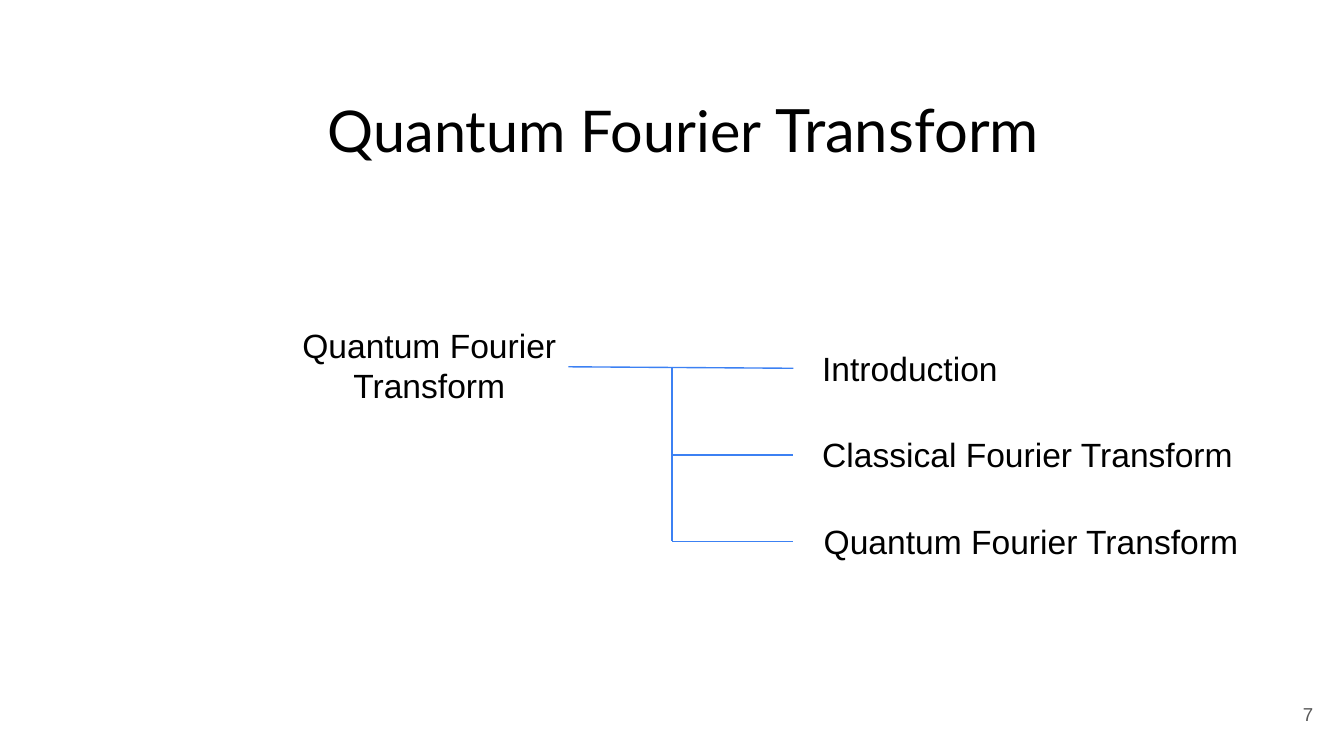
from pptx import Presentation
from pptx.dml.color import RGBColor
from pptx.enum.shapes import MSO_CONNECTOR
from pptx.enum.text import MSO_ANCHOR, MSO_AUTO_SIZE, PP_ALIGN
from pptx.oxml.ns import qn
from pptx.util import Pt
from lxml import etree

BLACK = RGBColor(0x00, 0x00, 0x00)
GRAY = RGBColor(0x59, 0x59, 0x59)
BLUE = RGBColor(0x3C, 0x81, 0xF3)


def add_label(s, text, x, y, w, h, size=18, color=BLACK, align=PP_ALIGN.LEFT):
    tf = s.shapes.add_textbox(Pt(x), Pt(y), Pt(w), Pt(h)).text_frame
    tf.word_wrap = True
    p = tf.paragraphs[0]
    p.text = text
    p.alignment = align
    p.font.name = "Arial"
    p.font.size = Pt(size)
    p.font.color.rgb = color
    return tf


def add_line(s, x1, y1, x2, y2):
    line = s.shapes.add_connector(MSO_CONNECTOR.STRAIGHT, Pt(x1), Pt(y1), Pt(x2), Pt(y2))
    line.line.color.rgb = BLUE
    line.line.width = Pt(0.75)
    etree.SubElement(line._element.spPr, qn("a:effectLst"))


prs = Presentation()
prs.slide_width = Pt(720)
prs.slide_height = Pt(405)
s = prs.slides.add_slide(prs.slide_layouts[5])

title = s.shapes.title
title.left, title.top, title.width, title.height = Pt(168.5), Pt(42.5), Pt(520), Pt(53.3)
tf = title.text_frame
tf.auto_size = MSO_AUTO_SIZE.NONE
tf.vertical_anchor = MSO_ANCHOR.MIDDLE
p = tf.paragraphs[0]
p.alignment = PP_ALIGN.LEFT
p.font.name = "Lato"
p.font.color.rgb = BLACK
for text, size in [("Quantum Fourier ", 30.8), ("Transform", 32)]:
    r = p.add_run()
    r.text = text
    r.font.size = Pt(size)

add_label(s, "Quantum Fourier Transform", 149, 170.6, 162, 51, align=PP_ALIGN.CENTER)

trunk_x, branch_end, root_y, first_y, step = 360, 425, 196.5, 197.3, 46.4
topics = [
    ("Introduction", 433.4),
    ("Classical Fourier Transform", 433.4),
    ("Quantum Fourier Transform", 434.2),
]
add_line(s, 304.5, root_y, branch_end, first_y)
add_line(s, trunk_x, root_y, trunk_x, first_y + 2 * step)
for i, (text, x) in enumerate(topics):
    y = first_y + i * step
    if i > 0:
        add_line(s, trunk_x, y, branch_end, y)
    add_label(s, text, x, y - 14.6, 249, 29)

tf = add_label(s, "7", 667.4, 367.2, 43.2, 31, 10, GRAY, PP_ALIGN.RIGHT)
tf.vertical_anchor = MSO_ANCHOR.MIDDLE

prs.save("out.pptx")
